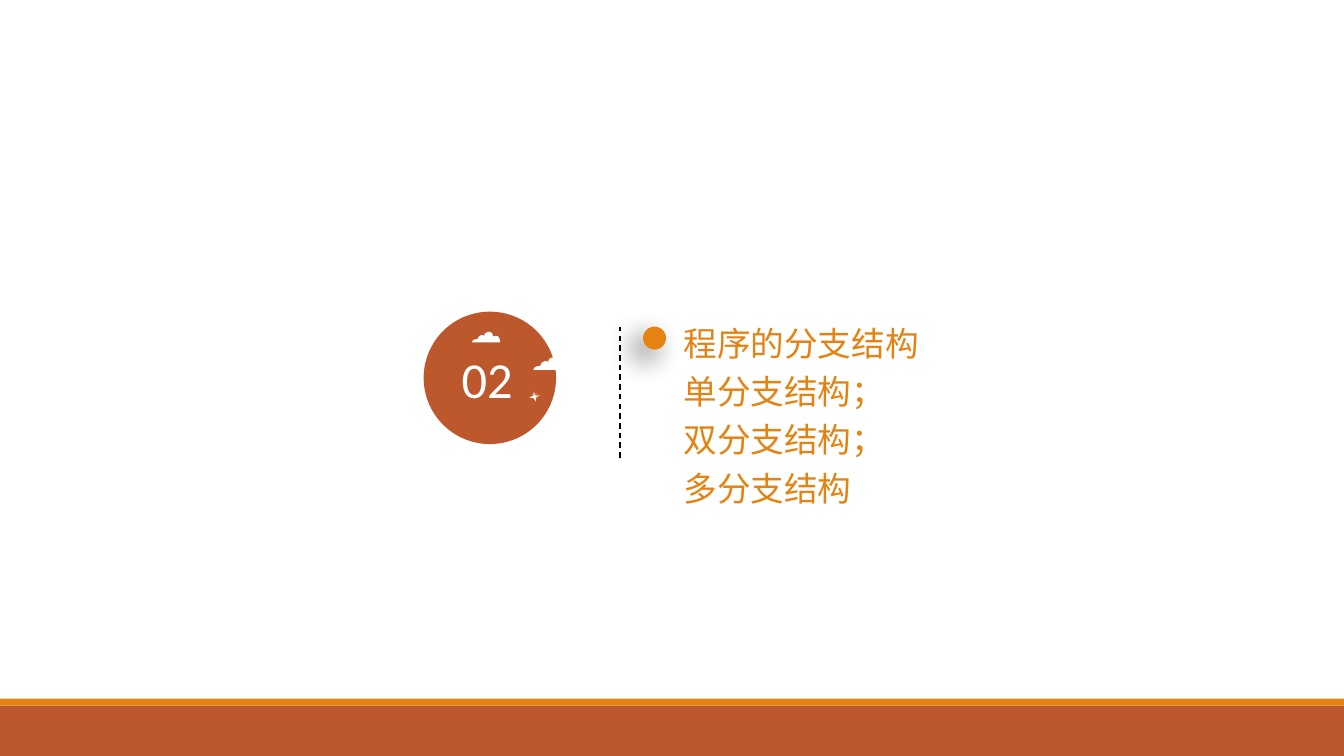
from lxml.etree import SubElement
from pptx import Presentation
from pptx.dml.color import RGBColor
from pptx.enum.dml import MSO_LINE
from pptx.enum.shapes import MSO_CONNECTOR, MSO_SHAPE
from pptx.enum.text import MSO_ANCHOR, MSO_AUTO_SIZE, PP_ALIGN
from pptx.oxml import parse_xml
from pptx.oxml.ns import nsdecls, qn
from pptx.util import Pt

RUST = RGBColor(0xBD, 0x58, 0x2C)
ORANGE = RGBColor(0xE4, 0x83, 0x12)
WHITE = RGBColor(0xFF, 0xFF, 0xFF)
BLACK = RGBColor(0, 0, 0)

NUMBER = "02"
TOPICS = ["程序的分支结构", "单分支结构；", "双分支结构；", "多分支结构"]

SLIDE_WIDTH, SLIDE_HEIGHT = 960, 540
BANDS = [(504, 36, RUST), (499, 5, ORANGE)]  # top, height, colour

# Outlines on their own integer grids
CLOUD = [(340, 130), (340, 110), (330, 80), (315, 57), (290, 50), (260, 60),
         (252, 50), (250, 30), (240, 20), (230, 10), (210, 0), (180, 10),
         (160, 20), (150, 40), (150, 50), (120, 40), (90, 55), (75, 75),
         (70, 90), (40, 93), (15, 105), (0, 130)]
STAR = [(90, 0), (90, 60), (150, 80), (80, 80), (60, 140), (60, 80),
        (0, 50), (60, 50)]
CLOUDS = [(380.9, 254.9, 24.5), (337, 236.9, 20.2)]  # left, top, width
STARS = [(293, 229, 10.8, False), (378, 279.5, 7.9, True)]  # ..., flipped


def paint(shape, colour):
    shape.shadow.inherit = False
    shape.fill.solid()
    shape.fill.fore_color.rgb = colour
    shape.line.fill.background()
    return shape


def add_preset(shapes, kind, left, top, width, height, colour):
    shape = shapes.add_shape(kind, Pt(left), Pt(top), Pt(width), Pt(height))
    return paint(shape, colour)


def add_outline(shapes, points, left, top, width):
    scale = Pt(width) / max(x for x, y in points)
    builder = shapes.build_freeform(*points[0], scale=scale)
    builder.add_line_segments(points[1:], close=True)
    paint(builder.convert_to_shape(Pt(left), Pt(top)), WHITE)


def add_star(shapes, left, top, width, flipped):
    """Add a sparkle with a faint round glow over its centre."""
    points = [(x, 140 - y) for x, y in STAR] if flipped else STAR
    add_outline(shapes, points, left, top, width)
    size = width * 0.64
    inset = (width - size) / 2
    glow = add_preset(shapes, MSO_SHAPE.OVAL, left + inset, top + inset - 0.5,
                      size, size, WHITE)
    colour = glow.fill._xPr.find(qn("a:solidFill"))[0]
    SubElement(colour, qn("a:alpha"), val="17000")


def add_badge(slide):
    shapes = slide.shapes.add_group_shape().shapes
    add_preset(shapes, MSO_SHAPE.OVAL, 302.6, 222.6, 94.6, 94.6, RUST)
    label = shapes.add_textbox(Pt(318), Pt(248.4), Pt(60), Pt(44))
    frame = label.text_frame
    frame.margin_left = frame.margin_right = 0
    frame.margin_top = frame.margin_bottom = 0
    frame.word_wrap = True
    frame.text = NUMBER
    paragraph = frame.paragraphs[0]
    paragraph.alignment = PP_ALIGN.CENTER
    paragraph.font.name = "Calibri"
    paragraph.font.size = Pt(36)
    paragraph.font.color.rgb = WHITE
    for cloud in CLOUDS:
        add_outline(shapes, CLOUD, *cloud)
    for star in STARS:
        add_star(shapes, *star)


def fill_topics(body):
    body.left, body.top, body.width, body.height = (
        Pt(481), Pt(221), Pt(184.3), Pt(147))
    frame = body.text_frame
    frame.word_wrap = False
    frame.auto_size = MSO_AUTO_SIZE.SHAPE_TO_FIT_TEXT
    frame.vertical_anchor = MSO_ANCHOR.TOP
    frame.text = "\n".join(TOPICS)
    for paragraph in frame.paragraphs:
        properties = paragraph._p.get_or_add_pPr()
        properties.set("marL", "0")
        properties.set("indent", "0")
        SubElement(properties, qn("a:buNone"))
        paragraph.alignment = PP_ALIGN.LEFT
        paragraph.line_spacing = 1.2
        paragraph.space_before = Pt(0)
        paragraph.font.name = "Arial"
        paragraph.font.size = Pt(24)
        paragraph.font.color.rgb = ORANGE


def add_divider(slide):
    line = slide.shapes.add_connector(
        MSO_CONNECTOR.STRAIGHT, Pt(443), Pt(327), Pt(443), Pt(233.3))
    line.line.color.rgb = BLACK
    line.line.width = Pt(1)
    line.line.dash_style = MSO_LINE.DASH
    SubElement(line._element.spPr, qn("a:effectLst"))


def add_marker(slide):
    """Add the orange dot with a soft shadow to its lower left."""
    dot = add_preset(slide.shapes, MSO_SHAPE.OVAL, 459.3, 233.3, 16.4, 16.4, ORANGE)
    effects = dot._element.spPr.find(qn("a:effectLst"))
    effects.append(parse_xml(
        f'<a:outerShdw {nsdecls("a")} blurRad="{Pt(20)}" dist="{Pt(10)}" '
        'dir="8100000" algn="tr" rotWithShape="0"><a:srgbClr val="000000">'
        '<a:alpha val="60000"/></a:srgbClr></a:outerShdw>'))


def main():
    presentation = Presentation()
    presentation.slide_width = Pt(SLIDE_WIDTH)
    presentation.slide_height = Pt(SLIDE_HEIGHT)
    slide = presentation.slides.add_slide(presentation.slide_layouts[1])
    title, body = slide.placeholders
    title._element.getparent().remove(title._element)
    slide.background.fill.solid()
    slide.background.fill.fore_color.rgb = WHITE

    for top, height, colour in BANDS:
        add_preset(slide.shapes, MSO_SHAPE.RECTANGLE, 0, top, SLIDE_WIDTH,
                   height, colour)
    add_badge(slide)
    fill_topics(body)
    add_divider(slide)
    add_marker(slide)
    presentation.save("out.pptx")


if __name__ == "__main__":
    main()
